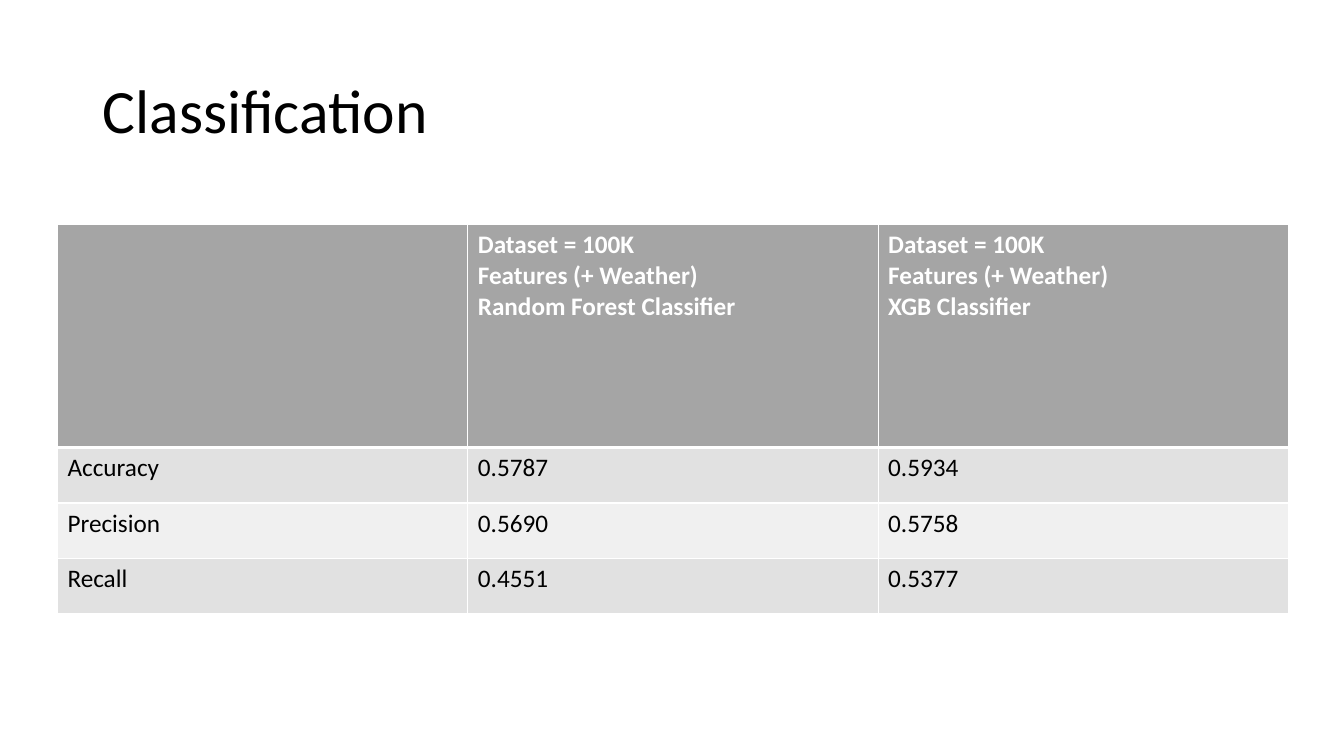
from lxml import etree
from pptx import Presentation
from pptx.dml.color import RGBColor
from pptx.enum.text import MSO_ANCHOR
from pptx.oxml.ns import qn
from pptx.util import Inches, Pt

MIDDLE = MSO_ANCHOR.MIDDLE
COLORS = {"text": "000000", "white": "FFFFFF", "header": "A5A5A5",
          "odd": "E1E1E1", "even": "F0F0F0"}
DATASET = "Dataset = 100K\nFeatures (+ Weather)\n"
SCORES = [
    ["", DATASET + "Random Forest Classifier", DATASET + "XGB Classifier"],
    ["Accuracy", "0.5787", "0.5934"],
    ["Precision", "0.5690", "0.5758"],
    ["Recall", "0.4551", "0.5377"],
]


def rgb(name):
    return RGBColor.from_string(COLORS[name])


def write(tf, text, size=18, color="text", bold=False, font="Calibri", spacing=1.0):
    for i, line in enumerate(text.split("\n")):
        p = tf.add_paragraph() if i else tf.paragraphs[0]
        p.line_spacing = spacing
        r = p.add_run()
        r.text = line
        r.font.name = font
        r.font.size = Pt(size)
        r.font.bold = bold
        r.font.color.rgb = rgb(color)


class Deck:
    def __init__(self, width, height):
        self.prs = Presentation()
        self.prs.slide_width = Inches(width)
        self.prs.slide_height = Inches(height)
        self.s = self.prs.slides.add_slide(self.prs.slide_layouts[6])

    def title(self, text, x, y, w, h):
        sp = self.s.shapes.add_textbox(Inches(x), Inches(y), Inches(w), Inches(h))
        tf = sp.text_frame
        tf.word_wrap = True
        tf.vertical_anchor = MIDDLE
        write(tf, text, size=44, spacing=0.9)

    def border(self, cell, side, width):
        tc_pr = cell._tc.get_or_add_tcPr()
        ln = etree.SubElement(tc_pr, qn(f"a:ln{side}"), w=str(Pt(width)))
        fill = etree.SubElement(ln, qn("a:solidFill"))
        etree.SubElement(fill, qn("a:srgbClr"), val=COLORS["white"])

    def table(self, rows, x, y, col_width, row_heights):
        n_cols = len(rows[0])
        frame = self.s.shapes.add_table(
            len(rows), n_cols, Inches(x), Inches(y),
            Inches(col_width * n_cols), Inches(sum(row_heights)))
        table = frame.table
        for column in table.columns:
            column.width = Inches(col_width)
        for i, values in enumerate(rows):
            table.rows[i].height = Inches(row_heights[i])
            header = i == 0
            fill = "header" if header else ("odd" if i % 2 else "even")
            for j, value in enumerate(values):
                cell = table.cell(i, j)
                for side in "LRTB":
                    thick = (i, side) in ((0, "B"), (1, "T"))
                    self.border(cell, side, 3 if thick else 1)
                cell.fill.solid()
                cell.fill.fore_color.rgb = rgb(fill)
                if value:
                    write(cell.text_frame, value, bold=header,
                          color="white" if header else "text")


def main():
    deck = Deck(13.33, 7.5)
    deck.title("Classification", 0.92, 0.4, 11.5, 1.45)
    deck.table(SCORES, 0.57, 2.23, 4.07, [2.21] + [0.55] * 3)
    deck.prs.save("out.pptx")


if __name__ == "__main__":
    main()
